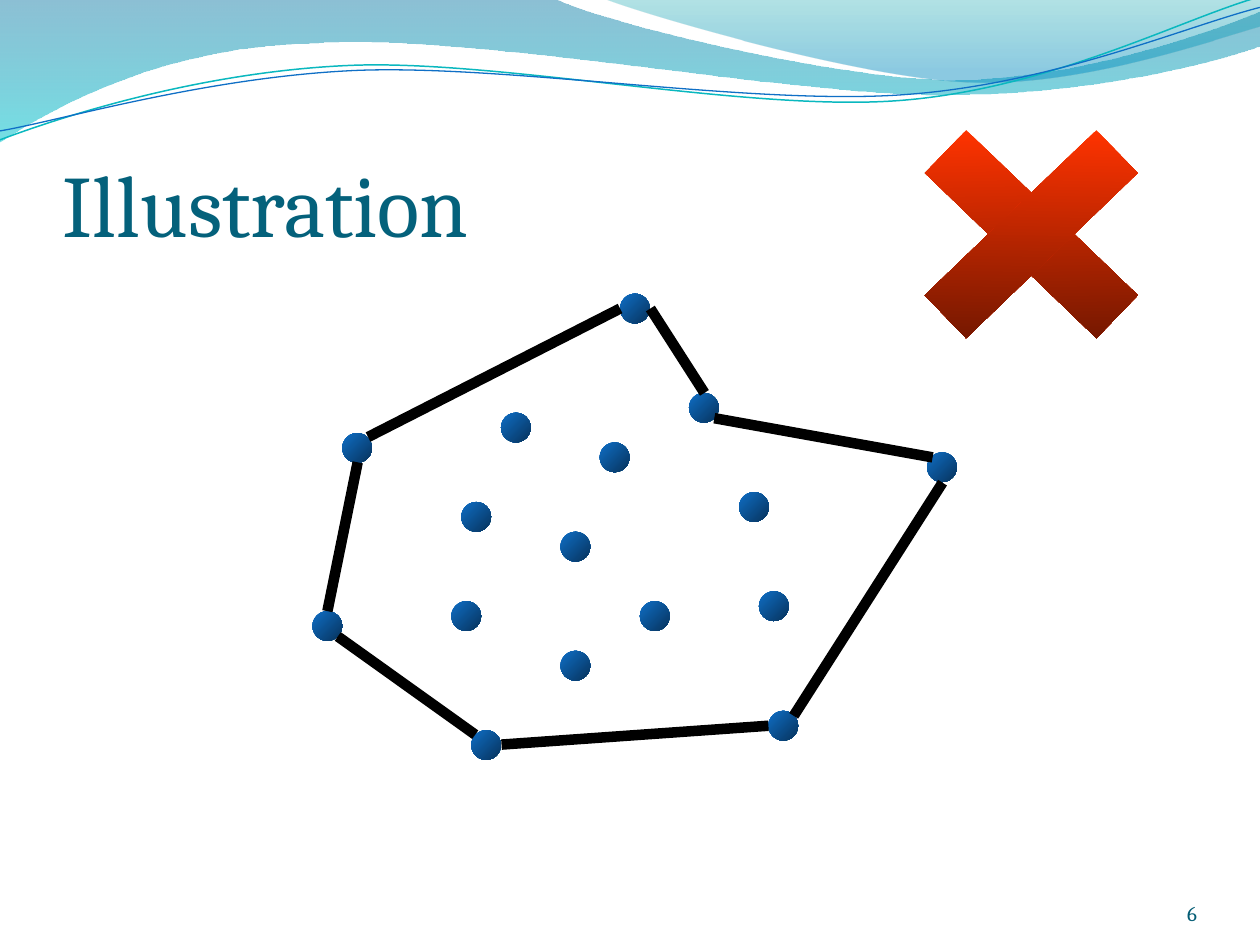
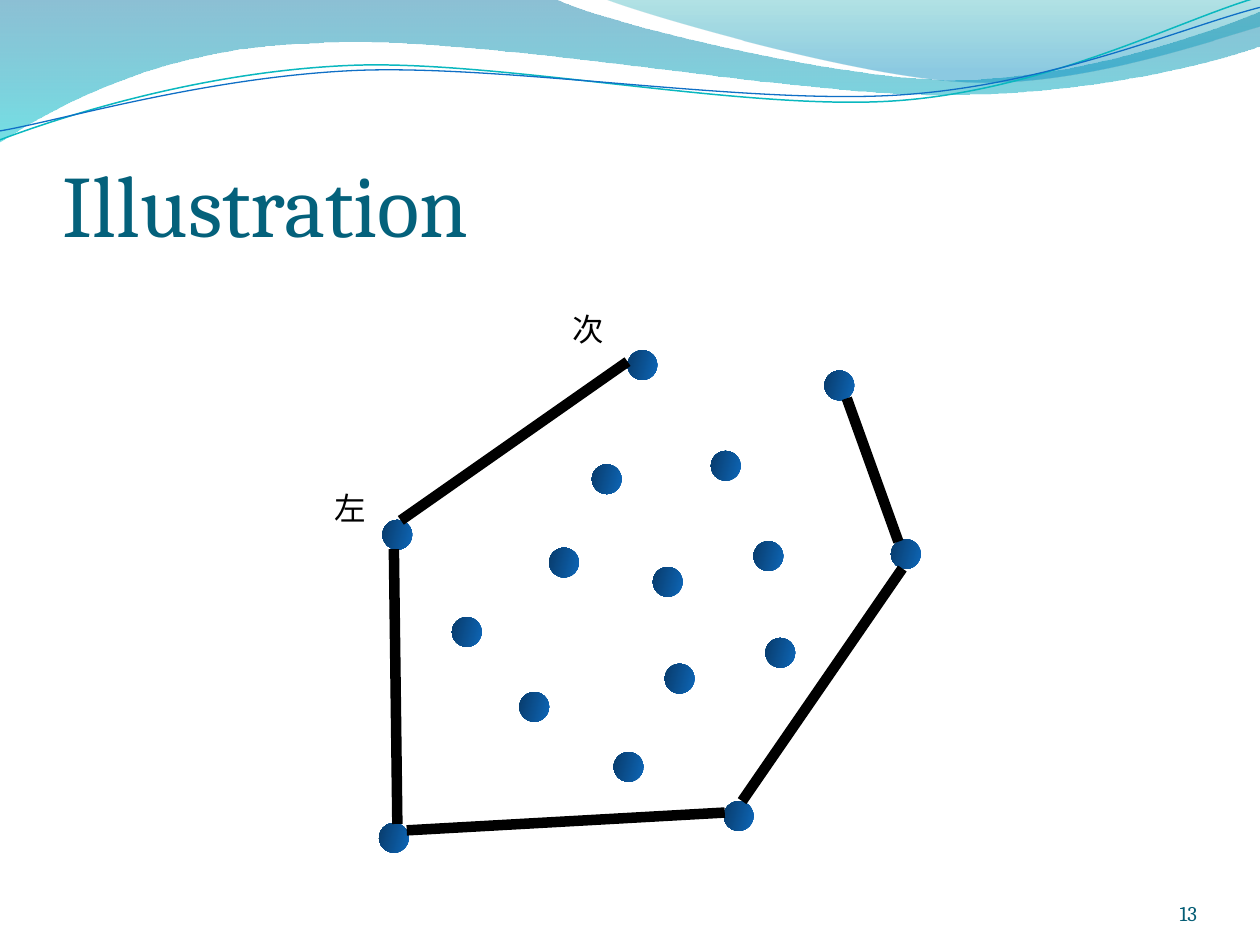
from dataclasses import dataclass

from lxml.etree import SubElement
from pptx import Presentation
from pptx.dml.color import RGBColor
from pptx.enum.shapes import MSO_CONNECTOR as Connector, MSO_SHAPE as Shape
from pptx.enum.text import MSO_ANCHOR as Anchor, PP_ALIGN as Align
from pptx.oxml.ns import qn
from pptx.util import Cm, Pt


@dataclass(frozen=True)
class Theme:
    font: str = "Cambria"
    title: str = "04617B"
    number: str = "045D75"
    ink: str = "000000"
    # Gradient stops: position, colour, opacity in percent
    point: tuple = ((0, "0F6FC6", 100), (1, "07335C", 100))
    cross: tuple = ((0, "FF3300", 100), (1, "761800", 100))
    wide_wave: tuple = ((0, "0074A1", 45), (1, "00C6CF", 55))
    right_wave: tuple = ((0, "00A1A9", 30), (0.8, "008BBF", 45))
    teal_line: str = "0AB8BF"
    blue_line: str = "0F6FC6"
    title_size: int = 50
    label_size: int = 18
    number_size: int = 12
    edge_width: int = 6


THEME = Theme()
POINT_SIZE = 0.6

# Outlines in cm: a pair is a straight step, six numbers are a Bézier curve.
WIDE_WAVE = [(0, 0), (11.18, -0.03),
             (12.09, 0.43, 16.87, 1.6, 19.25, 1.6),
             (21.67, 1.6, 24.33, 0.66, 25.4, 0.23), (25.43, 0.91),
             (24.97, 1.12, 22.1, 1.93, 18.95, 1.91),
             (15.8, 1.91, 9.7, 0.71, 6.53, 0.86),
             (3.28, 0.91, 1.17, 2.11, -0.03, 2.87), (0, 0)]
RIGHT_WAVE = [(12.17, -0.03),
              (12.93, 0.28, 17.32, 1.57, 19.53, 1.65),
              (21.74, 1.75, 24.41, 0.81, 25.4, 0.53), (25.4, 0),
              (12.17, -0.03)]
TEAL_LINE = [(0, 2.82),
             (1.22, 2.36, 4.01, 1.45, 7.04, 1.32),
             (10.03, 1.19, 15.06, 2.26, 18.11, 2.03),
             (21.16, 1.8, 23.83, 0.38, 25.35, -0.05)]
BLUE_LINE = [(0, 2.64),
             (1.19, 2.44, 4.17, 1.55, 7.19, 1.42),
             (10.24, 1.3, 15.16, 2.13, 18.21, 1.91),
             (21.23, 1.7, 23.9, 0.53, 25.4, 0.15)]

# Points by left and top, edges by both ends
WRONG_HULL_POINTS = [
    (6.9, 8.73), (12.5, 5.92), (13.89, 7.92), (18.69, 9.12), (15.49, 14.33),
    (9.5, 14.72), (6.3, 12.32), (12.09, 8.92), (9.3, 10.12), (12.9, 12.12),
    (14.9, 9.92), (9.1, 12.12), (11.3, 10.72), (11.3, 13.12),
    (15.3, 11.92), (10.1, 8.32)]
WRONG_HULL_EDGES = [
    (7.42, 8.81, 12.5, 6.22), (13.11, 6.22, 14.2, 7.92),
    (14.4, 8.43, 18.8, 9.22), (19, 9.73, 16, 14.43),
    (10.11, 15.01, 15.49, 14.63), (6.81, 12.83, 9.58, 14.81),
    (7.21, 9.32, 6.6, 12.32)]
OPEN_HULL_POINTS = [
    (17.96, 10.87), (14.59, 16.15), (13.4, 13.38), (16.62, 7.47),
    (12.65, 7.06), (15.19, 10.91), (7.71, 10.48), (7.64, 16.59),
    (11.07, 11.04), (10.47, 13.95), (14.33, 9.09), (13.16, 11.43),
    (12.37, 15.16), (11.93, 9.36), (9.11, 12.44), (15.43, 12.86)]
OPEN_HULL_EDGES = [
    (18.11, 10.92, 17.07, 8.03), (14.96, 16.15, 18.19, 11.46),
    (8.2, 16.74, 14.61, 16.38), (8.01, 16.61, 7.94, 11.07),
    (8.08, 10.49, 12.65, 7.29)]


def rgb(colour):
    return RGBColor.from_string(colour)


def fill_gradient(shape, stops, clockwise_angle):
    shape.shadow.inherit = False
    shape.fill.gradient()
    shape.fill.gradient_angle = (360 - clockwise_angle) % 360
    for stop, (position, colour, opacity) in zip(shape.fill.gradient_stops, stops):
        stop.position = position
        stop.color.rgb = rgb(colour)
    if any(opacity < 100 for _, _, opacity in stops):
        colours = shape.fill._xPr.iter(qn("a:srgbClr"))
        for element, (_, _, opacity) in zip(colours, stops):
            SubElement(element, qn("a:alpha")).set("val", str(opacity * 1000))
    shape.line.fill.background()


def add_outline(slide, outline, close):
    """Draw an outline, joining each three steps of a curve into one Bézier."""
    points = [(Cm(x), Cm(y)) for segment in outline
              for x, y in zip(segment[::2], segment[1::2])]
    builder = slide.shapes.build_freeform(*points[0])
    builder.add_line_segments(points[1:], close=close)
    shape = builder.convert_to_shape()

    steps = iter(list(shape._element.iter(qn("a:lnTo"))))
    for segment in outline[1:]:
        curve = next(steps)
        if len(segment) == 6:
            curve.tag = qn("a:cubicBezTo")
            for step in (next(steps), next(steps)):
                curve.append(step[0])
                step.getparent().remove(step)
    return shape


def add_wave_header(slide):
    for outline, stops in ((WIDE_WAVE, THEME.wide_wave),
                           (RIGHT_WAVE, THEME.right_wave)):
        fill_gradient(add_outline(slide, outline, close=True), stops, 90)
    for outline, colour, width in ((TEAL_LINE, THEME.teal_line, 0.85),
                                   (BLUE_LINE, THEME.blue_line, 0.75)):
        wave = add_outline(slide, outline, close=False)
        wave.shadow.inherit = False
        wave.fill.background()
        wave.line.color.rgb = rgb(colour)
        wave.line.width = Pt(width)


def add_text(slide, text, box, size, colour, align=Align.LEFT):
    frame = slide.shapes.add_textbox(*map(Cm, box)).text_frame
    paragraph = frame.paragraphs[0]
    paragraph.text = text
    paragraph.alignment = align
    paragraph.font.name = THEME.font
    paragraph.font.size = Pt(size)
    paragraph.font.color.rgb = rgb(colour)
    return frame


def add_bottom_text(slide, *text_settings, **options):
    frame = add_text(slide, *text_settings, **options)
    frame.word_wrap = True
    frame.vertical_anchor = Anchor.BOTTOM
    frame.margin_left = frame.margin_right = 0
    frame.margin_top = frame.margin_bottom = 0


def add_label(slide, text, left, top):
    frame = add_text(slide, text, (left, top, 1.14, 1.02),
                     THEME.label_size, THEME.ink)
    frame.word_wrap = False


def add_point(slide, left, top, rotation):
    point = slide.shapes.add_shape(Shape.OVAL, Cm(left), Cm(top),
                                   Cm(POINT_SIZE), Cm(POINT_SIZE))
    point.rotation = rotation
    fill_gradient(point, THEME.point, 45)


def add_edge(slide, *ends):
    edge = slide.shapes.add_connector(Connector.STRAIGHT, *map(Cm, ends))
    edge.line.color.rgb = rgb(THEME.ink)
    edge.line.width = Pt(THEME.edge_width)
    SubElement(edge._element.spPr, qn("a:effectLst"))


def add_hull(slide, points, edges, rotation=0):
    for left, top in points:
        add_point(slide, left, top, rotation)
    for ends in edges:
        add_edge(slide, *ends)


def add_cross(slide):
    for rotation, flipped in ((43.9, False), (316.1, True)):
        bar = slide.shapes.add_shape(Shape.RECTANGLE, Cm(18.39), Cm(4.12),
                                     Cm(4.8), Cm(1.2))
        bar.rotation = rotation
        if flipped:
            bar._element.spPr.xfrm.set("flipH", "1")
        fill_gradient(bar, THEME.cross, 45)


def add_illustration_slide(deck, number):
    slide = deck.slides.add_slide(deck.slide_layouts[6])
    add_wave_header(slide)
    add_bottom_text(slide, number, (22.02, 17.65, 2.11, 1.02),
                    THEME.number_size, THEME.number, align=Align.RIGHT)
    add_bottom_text(slide, "Illustration", (1.27, 1.96, 22.86, 3.18),
                    THEME.title_size, THEME.title)
    return slide


def main():
    deck = Presentation()
    deck.slide_width, deck.slide_height = Cm(25.4), Cm(19.05)

    wrong_hull = add_illustration_slide(deck, "6")
    add_hull(wrong_hull, WRONG_HULL_POINTS, WRONG_HULL_EDGES)
    add_cross(wrong_hull)

    open_hull = add_illustration_slide(deck, "13")
    add_label(open_hull, "次", 11.3, 6.12)
    add_label(open_hull, "左", 6.5, 9.73)
    add_hull(open_hull, OPEN_HULL_POINTS, OPEN_HULL_EDGES, rotation=149.1)

    deck.save("out.pptx")


if __name__ == "__main__":
    main()
